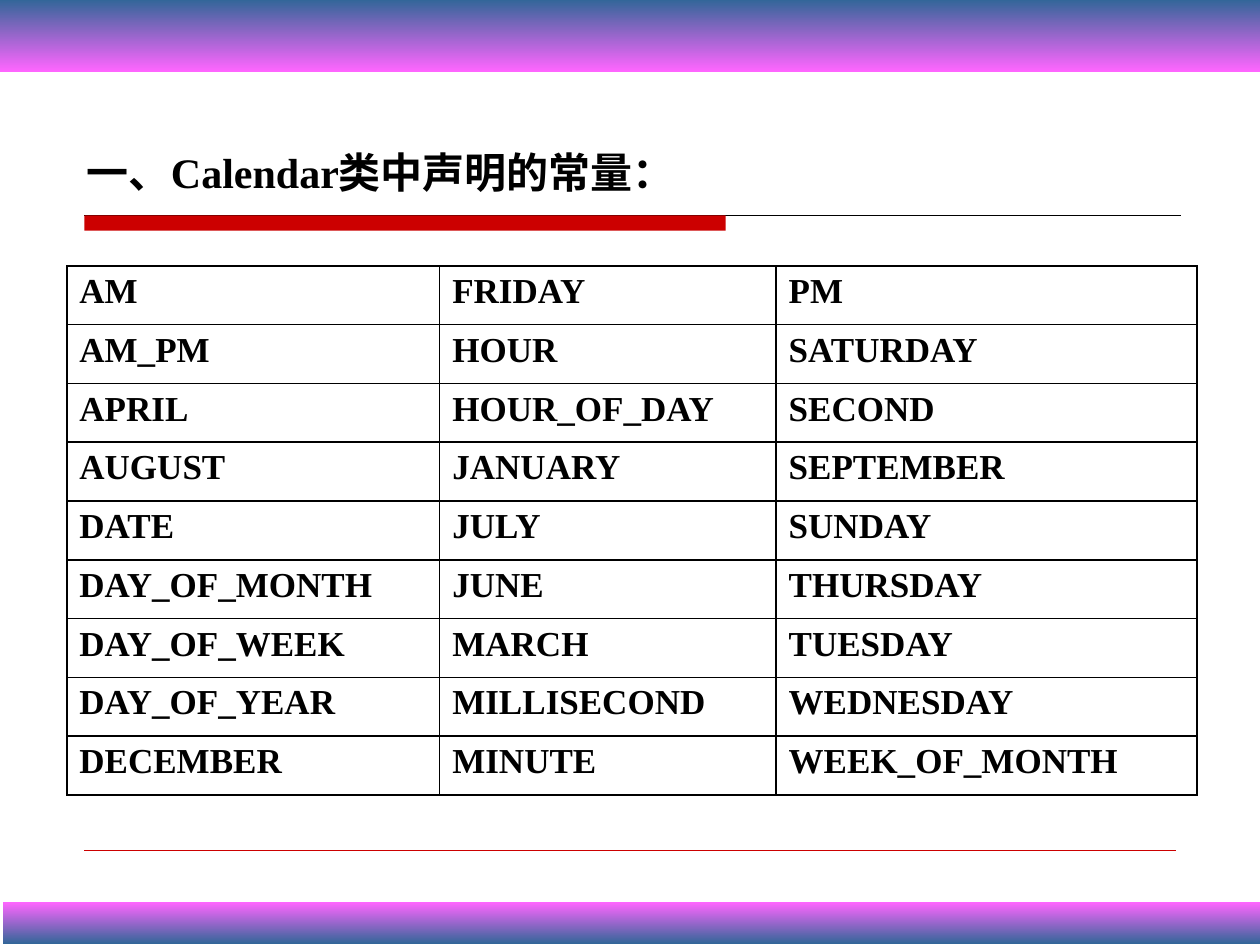
from pptx import Presentation
from pptx import util as u
from pptx.dml.color import RGBColor
from pptx.enum import shapes, text
from pptx.oxml import parse_xml
from pptx.oxml.ns import nsdecls, qn
from lxml import etree

FONT = "Times New Roman"
BLACK, RED, PINK, BLUE = "000000", "CC0000", "FF66FF", "336699"
TITLE = "一、Calendar类中声明的常量："
CONSTANTS = [
    ("AM", "FRIDAY", "PM"),
    ("AM_PM", "HOUR", "SATURDAY"),
    ("APRIL", "HOUR_OF_DAY", "SECOND"),
    ("AUGUST", "JANUARY", "SEPTEMBER"),
    ("DATE", "JULY", "SUNDAY"),
    ("DAY_OF_MONTH", "JUNE", "THURSDAY"),
    ("DAY_OF_WEEK", "MARCH", "TUESDAY"),
    ("DAY_OF_YEAR", "MILLISECOND", "WEDNESDAY"),
    ("DECEMBER", "MINUTE", "WEEK_OF_MONTH"),
]
COLUMN_WIDTHS = (2.96, 2.67, 3.34)
TABLE_AREA = (0.53, 2.11, sum(COLUMN_WIDTHS), 4.2)
RULES = [(0.67, 9.37, 1.71, BLACK, 0.75), (0.67, 9.33, 6.75, RED, 0.25)]
BANDS = [((0.02, 7.16, 9.98, 0.33), (PINK, BLUE)), ((0, 0, 10, 0.57), (BLUE, PINK))]


def color(value):
    return RGBColor.from_string(value)


def inches(values):
    return [u.Inches(value) for value in values]


def add_text(para, words, size):
    span = para.add_run()
    span.text = words
    span.font.name = FONT
    span.font.size = u.Pt(size)
    span.font.bold = True
    span.font.color.rgb = color(BLACK)


def add_box(page, area):
    box = page.shapes.add_shape(shapes.MSO_SHAPE.RECTANGLE, *inches(area))
    box.shadow.inherit = False
    box.line.fill.background()
    return box


def add_rule(page, left, right, top, value, width):
    rule = page.shapes.add_connector(
        shapes.MSO_CONNECTOR.STRAIGHT, *inches((left, top, right, top)))
    rule.line.color.rgb = color(value)
    rule.line.width = u.Pt(width)
    etree.SubElement(rule._element.spPr, qn("a:effectLst"))


def add_band(page, area, values):
    band = add_box(page, area)
    band.fill.gradient()
    band.fill.gradient_angle = 270
    for stop, value, position in zip(band.fill.gradient_stops, values, (0, 1)):
        stop.color.rgb = color(value)
        stop.position = position


def fill_title(title):
    title.left, title.top, title.width, title.height = inches((0.59, 1.07, 5.67, 0.63))
    frame = title.text_frame
    frame.auto_size = text.MSO_AUTO_SIZE.NONE
    frame.word_wrap = True
    frame.vertical_anchor = text.MSO_ANCHOR.TOP
    para = frame.paragraphs[0]
    para.alignment = text.PP_ALIGN.LEFT
    para.line_spacing = 1.1
    properties = para._p.get_or_add_pPr()
    properties.set("marL", str(u.Inches(0.51)))
    properties.set("indent", str(-u.Inches(0.51)))
    add_text(para, TITLE, 24)


def add_borders(cell):
    properties = cell._tc.get_or_add_tcPr()
    for side in "LRTB":
        properties.append(parse_xml(
            f'<a:ln{side} {nsdecls("a")} w="{u.Pt(1)}"><a:solidFill>'
            f'<a:srgbClr val="{BLACK}"/></a:solidFill></a:ln{side}>'))


def add_constants(page):
    table = page.shapes.add_table(
        len(CONSTANTS), len(COLUMN_WIDTHS), *inches(TABLE_AREA)).table
    table.first_row = table.horz_banding = False
    for column, width in zip(table.columns, COLUMN_WIDTHS):
        column.width = u.Inches(width)
    for row, names in zip(table.rows, CONSTANTS):
        row.height = u.Inches(TABLE_AREA[3] / len(CONSTANTS))
        for cell, name in zip(row.cells, names):
            add_borders(cell)
            cell.fill.background()
            add_text(cell.text_frame.paragraphs[0], name, 20)


def main():
    """Build the slide listing the Calendar constants."""
    deck = Presentation()
    deck.slide_width, deck.slide_height = inches((10, 7.5))
    page = deck.slides.add_slide(deck.slide_layouts[5])
    fill_title(page.shapes.title)
    for rule in RULES:
        add_rule(page, *rule)
    bar = add_box(page, (0.67, 1.71, 5.09, 0.12))
    bar.fill.solid()
    bar.fill.fore_color.rgb = color(RED)
    add_constants(page)
    for area, values in BANDS:
        add_band(page, area, values)
    deck.save("out.pptx")


if __name__ == "__main__":
    main()
